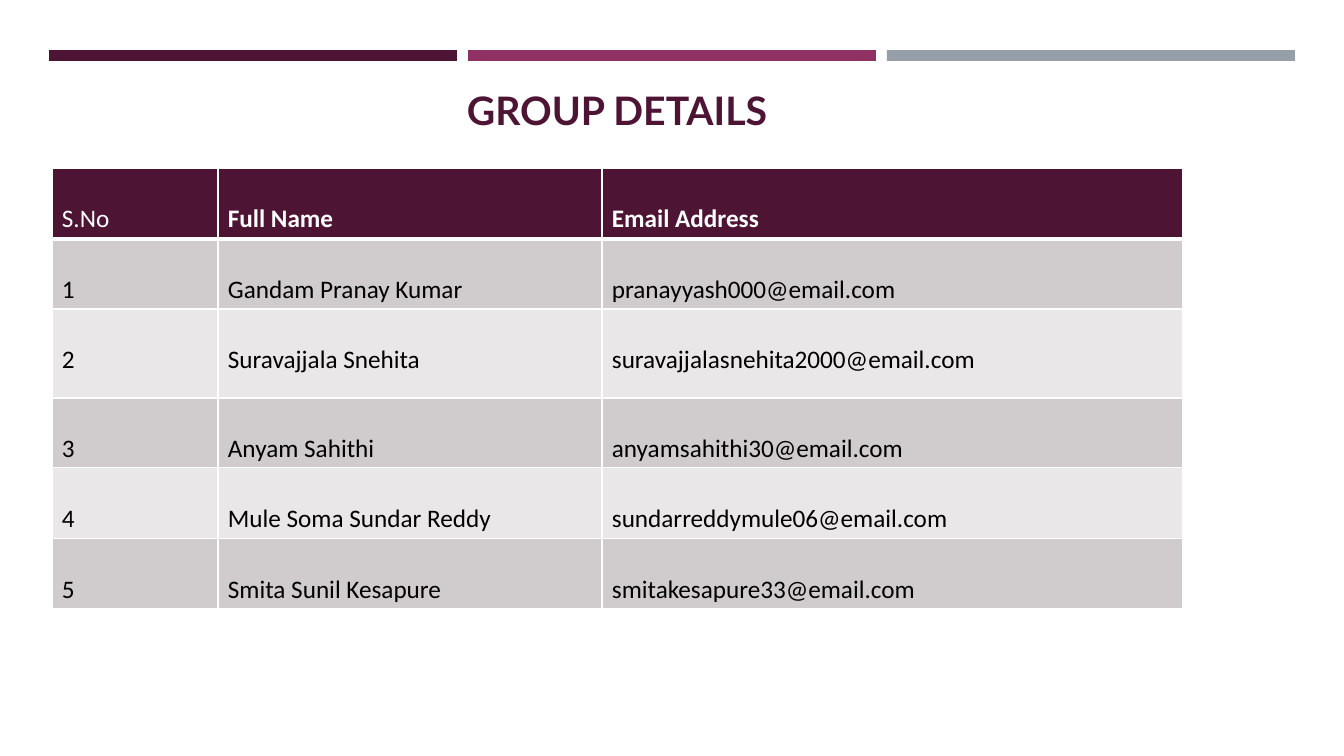
from lxml import etree
from pptx import Presentation
from pptx.dml.color import RGBColor
from pptx.enum.shapes import MSO_SHAPE
from pptx.enum.text import MSO_ANCHOR, PP_ALIGN
from pptx.oxml.ns import qn
from pptx.util import Emu, Pt

RECTANGLE = MSO_SHAPE.RECTANGLE
TOP, MIDDLE = MSO_ANCHOR.TOP, MSO_ANCHOR.MIDDLE
LEFT, CENTER = PP_ALIGN.LEFT, PP_ALIGN.CENTER

PLUM = RGBColor(0x4D, 0x14, 0x34)
BERRY = RGBColor(0x90, 0x31, 0x63)
STEEL = RGBColor(0x96, 0x9F, 0xA7)
DARK_BAND = RGBColor(0xD0, 0xCC, 0xCE)
LIGHT_BAND = RGBColor(0xE9, 0xE7, 0xE8)
WHITE = RGBColor(0xFF, 0xFF, 0xFF)
BLACK = RGBColor(0, 0, 0)

HEADER = ("S.No", "Full Name", "Email Address")
MEMBERS = (
    ("Gandam Pranay Kumar", "pranayyash000"),
    ("Suravajjala Snehita", "suravajjalasnehita2000"),
    ("Anyam Sahithi", "anyamsahithi30"),
    ("Mule Soma Sundar Reddy", "sundarreddymule06"),
    ("Smita Sunil Kesapure", "smitakesapure33"),
)
MAIL_DOMAIN = "@email.com"
COLUMN_WIDTHS = (166, 384, 581)
ROW_HEIGHTS = (71, 70, 89, 70, 71, 70)


def px(count):
    """Turn pixels (100.8 to the inch) into EMU."""
    return Emu(round(count * 914400 / 100.8))


def write_text(frame, text, *, size=18, color=BLACK, bold=False,
               font="Calibri", align=LEFT):
    paragraph = frame.paragraphs[0]
    paragraph.alignment = align
    run = paragraph.add_run()
    run.text = text
    run.font.name = font
    run.font.size = Pt(size)
    run.font.bold = bold
    run.font.color.rgb = color


def add_borders(cell, top, bottom):
    """Draw white cell borders, 1 pt at the sides; call before setting the fill."""
    properties = cell._tc.get_or_add_tcPr()
    for side, points in (("L", 1), ("R", 1), ("T", top), ("B", bottom)):
        line = etree.SubElement(properties, qn(f"a:ln{side}"), w=str(Pt(points)))
        fill = etree.SubElement(line, qn("a:solidFill"))
        etree.SubElement(fill, qn("a:srgbClr"), val=str(WHITE))


class SlideBuilder:
    def __init__(self, slide):
        self.slide = slide

    def bar(self, left, top, width, height, color):
        shape = self.slide.shapes.add_shape(
            RECTANGLE, px(left), px(top), px(width), px(height))
        shape.shadow.inherit = False
        shape.fill.solid()
        shape.fill.fore_color.rgb = color
        shape.line.fill.background()

    def title(self, left, top, width, height, text):
        frame = self.slide.shapes.add_textbox(
            px(left), px(top), px(width), px(height)).text_frame
        frame.word_wrap = True
        frame.vertical_anchor = MIDDLE
        write_text(frame, text, size=28, color=PLUM, bold=True,
                   font="Lato", align=CENTER)

    def table(self, left, top, rows):
        table = self.slide.shapes.add_table(
            len(rows), len(COLUMN_WIDTHS), px(left), px(top),
            px(sum(COLUMN_WIDTHS)), px(sum(ROW_HEIGHTS))).table
        for column, width in zip(table.columns, COLUMN_WIDTHS):
            column.width = px(width)
        for row, height in zip(table.rows, ROW_HEIGHTS):
            row.height = px(height)
        for row_index, values in enumerate(rows):
            for column_index, value in enumerate(values):
                self.cell(table.cell(row_index, column_index), value,
                          row_index, column_index)

    def cell(self, cell, text, row_index, column_index):
        is_header = row_index == 0
        add_borders(cell, top=3 if row_index == 1 else 1,
                    bottom=3 if is_header else 1)
        cell.fill.solid()
        band = DARK_BAND if row_index % 2 else LIGHT_BAND
        cell.fill.fore_color.rgb = PLUM if is_header else band
        cell.vertical_anchor = TOP
        cell.margin_left = cell.margin_right = px(10)
        cell.margin_top, cell.margin_bottom = px(36), px(3)
        write_text(cell.text_frame, text, color=WHITE if is_header else BLACK,
                   bold=is_header and column_index > 0)


def main():
    presentation = Presentation()
    presentation.slide_width, presentation.slide_height = px(1344), px(756)
    slide = presentation.slides.add_slide(presentation.slide_layouts[6])
    builder = SlideBuilder(slide)

    for index, color in enumerate((PLUM, BERRY, STEEL)):
        builder.bar(49 + 419 * index, 50, 408, 11, color)
    builder.title(126, 81, 982, 57, "GROUP DETAILS")
    members = [(str(number), name, account + MAIL_DOMAIN)
               for number, (name, account) in enumerate(MEMBERS, start=1)]
    builder.table(52, 168, [HEADER, *members])

    presentation.save("out.pptx")


if __name__ == "__main__":
    main()
